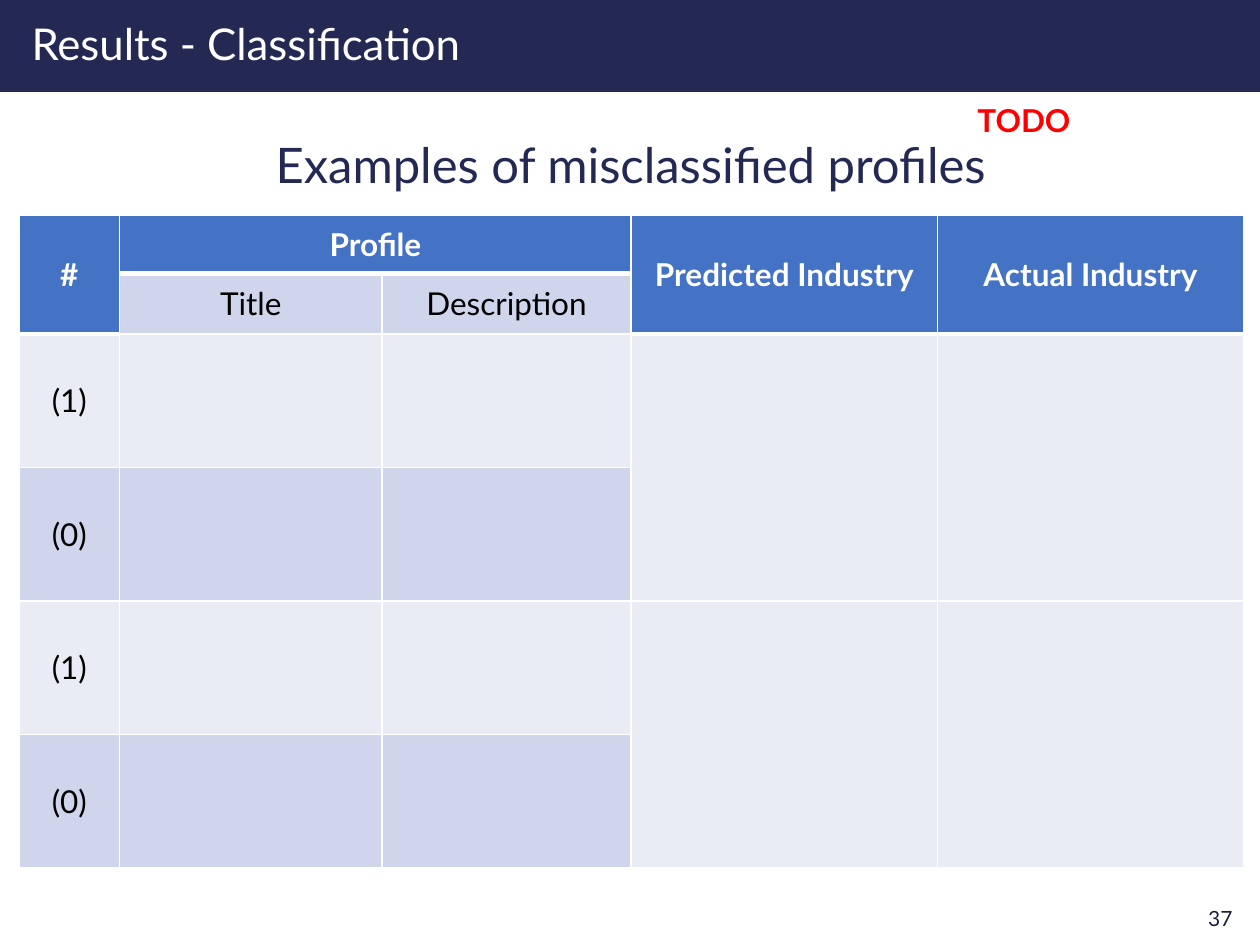
from lxml.etree import SubElement
from pptx import Presentation
from pptx.dml.color import RGBColor
from pptx.enum.shapes import MSO_SHAPE
from pptx.enum.text import MSO_ANCHOR, PP_ALIGN
from pptx.oxml.ns import qn
from pptx.util import Inches, Pt

NAVY, WHITE, BLACK = "242954", "FFFFFF", "000000"
HEADER, BAND_DARK, BAND_LIGHT = "4472C4", "CFD5EA", "E9EBF5"


def rgb(color):
    return RGBColor.from_string(color)


def write(tf, text, size=18, color=BLACK, bold=False, align=PP_ALIGN.LEFT,
          anchor=MSO_ANCHOR.MIDDLE, spacing=None):
    tf.word_wrap = True
    tf.vertical_anchor = anchor
    p = tf.paragraphs[0]
    p.alignment = align
    p.line_spacing = spacing
    r = p.add_run()
    r.text = text
    r.font.name = "Lato"
    r.font.size = Pt(size)
    r.font.bold = bold
    r.font.color.rgb = rgb(color)


def add_text(s, box, text, **fmt):
    sp = s.shapes.add_textbox(*map(Inches, box))
    write(sp.text_frame, text, **fmt)


def add_title(s, box, text):
    left, top, width, height = map(Inches, box)
    band = s.shapes.add_shape(MSO_SHAPE.RECTANGLE, left, top, width, height)
    band.shadow.inherit = False
    band.fill.solid()
    band.fill.fore_color.rgb = rgb(NAVY)
    band.line.fill.background()
    title = s.shapes.title
    title.element.addprevious(band.element)
    title.left, title.top = left + Inches(0.15), top
    title.width, title.height = width - Inches(1.68), height
    write(title.text_frame, text, size=25, color=WHITE, spacing=0.9)


def style_cell(cell, fill, bottom=1):
    tc_pr = cell._tc.get_or_add_tcPr()
    for side, width in zip("LRTB", (1, 1, 1, bottom)):
        ln = SubElement(tc_pr, qn(f"a:ln{side}"), w=str(Pt(width)))
        SubElement(SubElement(ln, qn("a:solidFill")), qn("a:srgbClr"), val=WHITE)
    cell.fill.solid()
    cell.fill.fore_color.rgb = rgb(fill)
    cell.vertical_anchor = MSO_ANCHOR.MIDDLE


def add_profile_table(s, box):
    widths = [0.8, 2.08, 1.98, 2.43, 2.43]
    heights = [0.46, 0.48] + [1.06] * 4
    merges = [((0, 0), (1, 0)), ((0, 1), (0, 2))]
    merges += [((row, col), (row + 1, col)) for row in (0, 2, 4) for col in (3, 4)]
    texts = {(0, 0): "#", (0, 1): "Profile", (0, 3): "Predicted Industry",
             (0, 4): "Actual Industry", (1, 1): "Title", (1, 2): "Description",
             (2, 0): "(1)", (3, 0): "(0)", (4, 0): "(1)", (5, 0): "(0)"}

    table = s.shapes.add_table(len(heights), len(widths), *map(Inches, box)).table
    for column, width in zip(table.columns, widths):
        column.width = Inches(width)
    for row, height in zip(table.rows, heights):
        row.height = Inches(height)
    for start, end in merges:
        table.cell(*start).merge(table.cell(*end))

    for row in range(len(heights)):
        for col in range(len(widths)):
            header = row == 0 or (row == 1 and col not in (1, 2))
            light = row % 2 == 0 or col > 2
            fill = HEADER if header else BAND_LIGHT if light else BAND_DARK
            cell = table.cell(row, col)
            style_cell(cell, fill, bottom=3 if header else 1)
            if (row, col) in texts:
                write(cell.text_frame, texts[row, col], bold=header,
                      color=WHITE if header else BLACK,
                      align=PP_ALIGN.CENTER, anchor=None)


def main():
    prs = Presentation()
    prs.slide_width, prs.slide_height = Inches(10), Inches(7.5)
    s = prs.slides.add_slide(prs.slide_layouts[5])
    add_title(s, (0, 0, 10, 0.73), "Results - Classification")
    add_text(s, (9.32, 7.08, 0.56, 0.42), "37", size=12, color="1B1F3F",
             align=PP_ALIGN.RIGHT)
    add_text(s, (0.65, 0.96, 8.71, 0.74), "Examples of misclassified profiles",
             size=28, color=NAVY, align=PP_ALIGN.CENTER, spacing=0.9)
    add_profile_table(s, (0.15, 1.71, 9.73, 5.18))
    add_text(s, (7.66, 0.75, 2.2, 0.4), "TODO", color="FF0000", bold=True,
             anchor=MSO_ANCHOR.TOP)
    prs.save("out.pptx")


if __name__ == "__main__":
    main()
